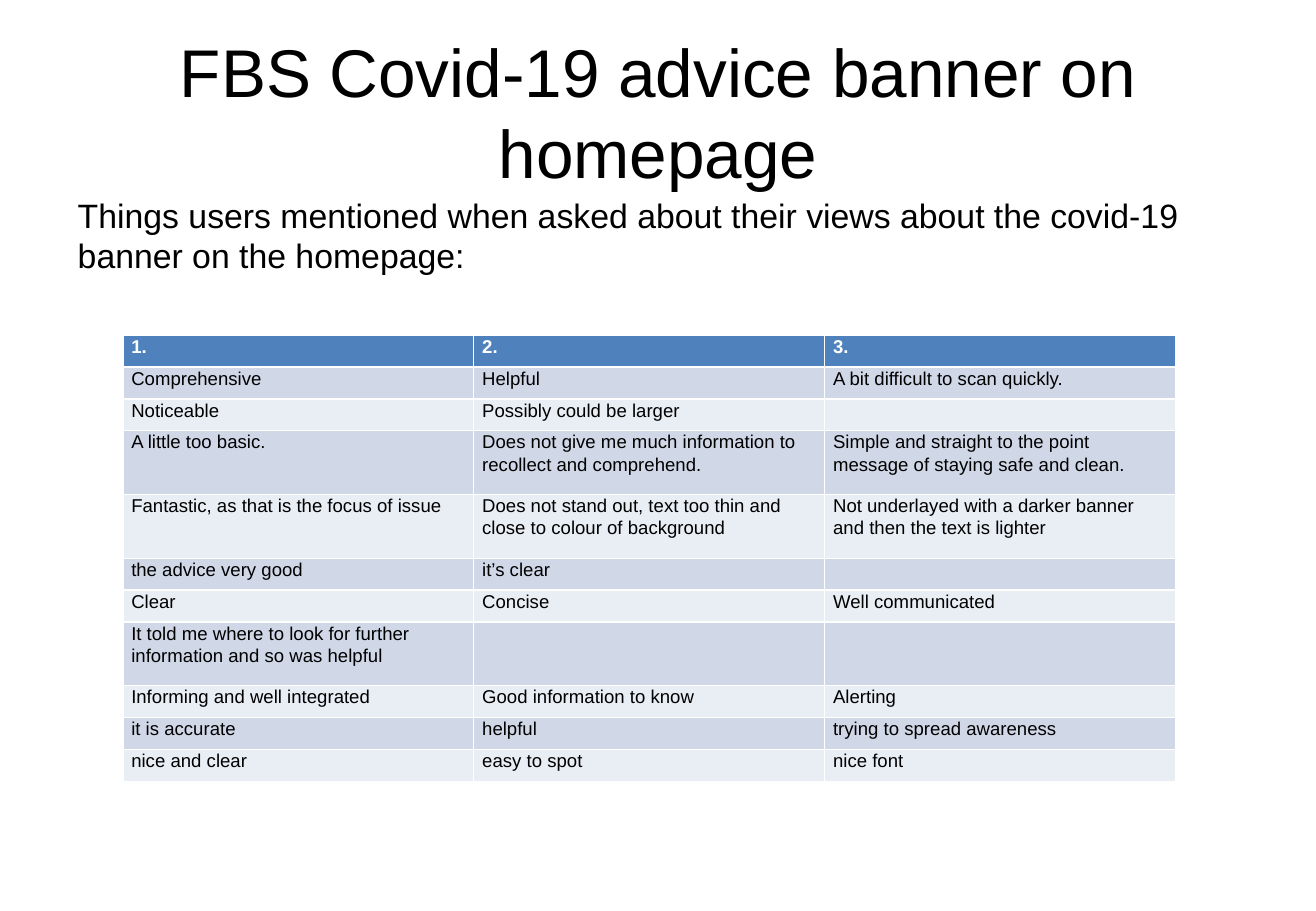
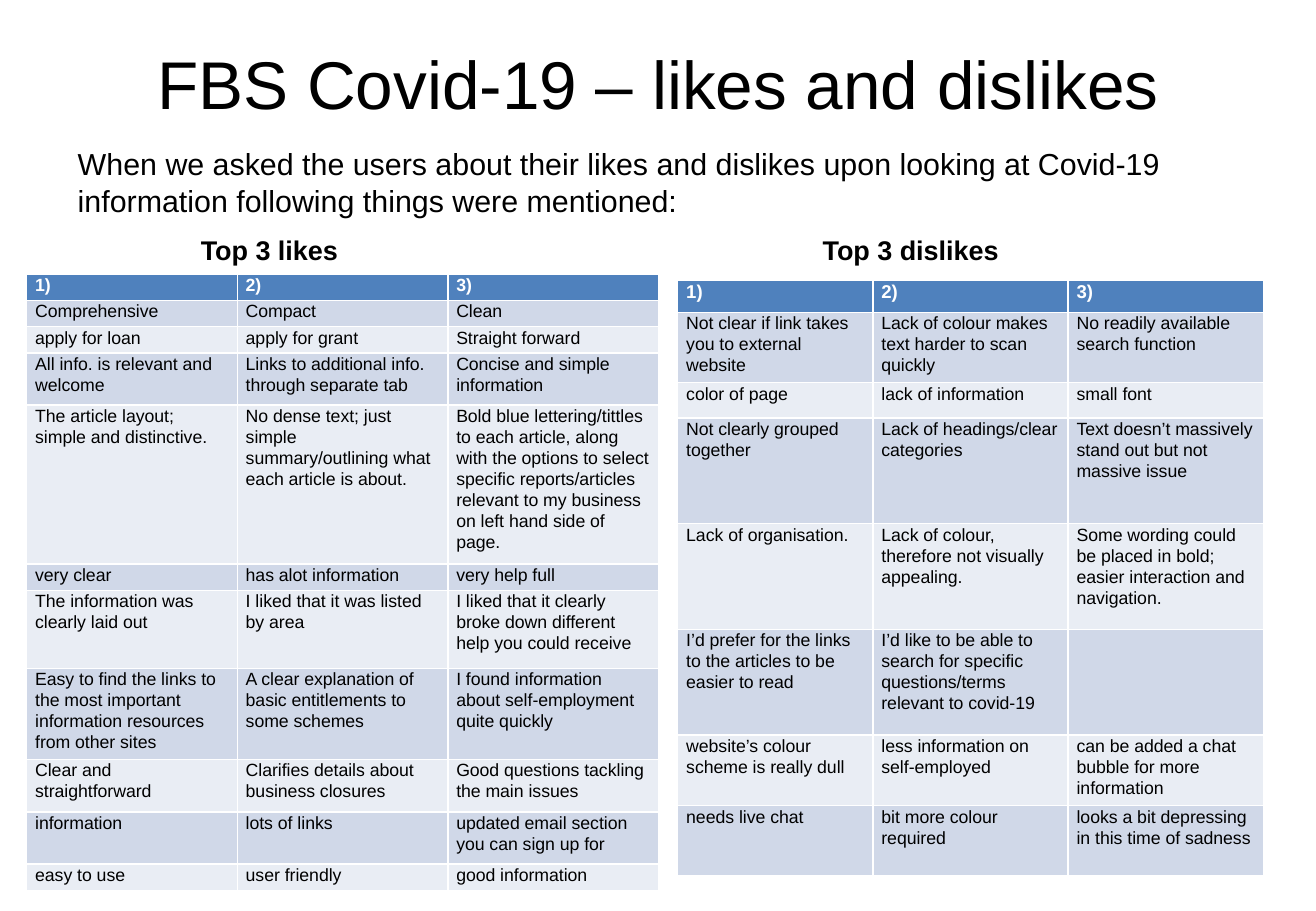
import pptx
import pptx.dml.color
import pptx.enum.text
import pptx.util
from dataclasses import dataclass
from lxml import etree


@dataclass(frozen=True)
class Theme:
    font: str = "Arial"
    ink: str = "000000"
    paper: str = "FFFFFF"
    head: str = "4F81BD"
    bands: tuple = ("D0D8E8", "E9EDF4")
    title: float = 40
    lead: float = 20
    sub: float = 18
    label: float = 16
    cell: float = 11
    small: float = 10.5


THEME = Theme()
WIDE = pptx.util.Inches(10.83)
HIGH = pptx.util.Inches(7.5)
LEFT, SPAN = 5, 90
NS = "{http://schemas.openxmlformats.org/drawingml/2006/main}"

VIEWS = [
    ("1.", "2.", "3."),
    ("Comprehensive", "Helpful", "A bit difficult to scan quickly."),
    ("Noticeable", "Possibly could be larger", ""),
    ("A little too basic.",
     "Does not give me much information to recollect and comprehend.",
     "Simple and straight to the point message of staying safe and clean."),
    ("Fantastic, as that is the focus of issue",
     "Does not stand out, text too thin and close to colour of background",
     "Not underlayed with a darker banner and then the text is lighter"),
    ("the advice very good", "it’s clear", ""),
    ("Clear", "Concise", "Well communicated"),
    ("It told me where to look for further information and so was helpful", "", ""),
    ("Informing and well integrated", "Good information to know", "Alerting"),
    ("it is accurate", "helpful", "trying to spread awareness"),
    ("nice and clear", "easy to spot", "nice font"),
]

LIKES = [
    ("1)", "2)", "3)"),
    ("Comprehensive", "Compact", "Clean"),
    ("apply for loan", "apply for grant", "Straight forward"),
    ("All info. is relevant and welcome",
     "Links to additional info. through separate tab",
     "Concise and simple information"),
    ("The article layout; simple and distinctive.",
     "No dense text; just simple summary/outlining what each article is about.",
     "Bold blue lettering/tittles to each article, along with the options to select "
     "specific reports/articles relevant to my business on left hand side of page."),
    ("very clear", "has alot information", "very help full"),
    ("The information was clearly laid out",
     "I liked that it was listed by area",
     "I liked that it clearly broke down different help you could receive"),
    ("Easy to find the links to the most important information resources from other sites",
     "A clear explanation of basic entitlements to some schemes",
     "I found information about self-employment quite quickly"),
    ("Clear and straightforward",
     "Clarifies details about business closures",
     "Good questions tackling the main issues"),
    ("information", "lots of links", "updated email section you can sign up for"),
    ("easy to use", "user friendly", "good information"),
]

DISLIKES = [
    ("1)", "2)", "3)"),
    ("Not clear if link takes you to external website",
     "Lack of colour makes text harder to scan quickly",
     "No readily available search function"),
    ("color of page", "lack of information", "small font"),
    ("Not clearly grouped together",
     "Lack of headings/clear categories",
     "Text doesn’t massively stand out but not massive issue"),
    ("Lack of organisation.",
     "Lack of colour, therefore not visually appealing.",
     "Some wording could be placed in bold; easier interaction and navigation."),
    ("I’d prefer for the links to the articles to be easier to read",
     "I’d like to be able to search for specific questions/terms relevant to covid-19",
     ""),
    ("website’s colour scheme is really dull",
     "less information on self-employed",
     "can be added a chat bubble for more information"),
    ("needs live chat", "bit more colour required",
     "looks a bit depressing in this time of sadness"),
]


def across(share):
    return round(WIDE * share / 100)


def down(share):
    return round(HIGH * share / 100)


def tint(code):
    return pptx.dml.color.RGBColor.from_string(code)


def write(frame, text, size, color=THEME.ink, bold=False, align=None,
          line=None, before=None, stops=(), more=False):
    para = frame.add_paragraph() if more else frame.paragraphs[0]
    para.alignment = align
    if line:
        para.line_spacing = line
    if before:
        para.space_before = pptx.util.Pt(before)
    if stops:
        tabs = etree.SubElement(para._p.get_or_add_pPr(), NS + "tabLst")
        for stop in stops:
            etree.SubElement(tabs, NS + "tab", pos=str(across(stop)), algn="l")
    if not text:
        etree.SubElement(para._p, NS + "endParaRPr", sz=str(round(size * 100)))
        return
    run = para.add_run()
    run.text = text
    run.font.name = THEME.font
    run.font.size = pptx.util.Pt(size)
    run.font.bold = bold
    run.font.color.rgb = tint(color)


def start(deck, text, top):
    slide = deck.slides.add_slide(deck.slide_layouts[5])
    title = slide.shapes.title
    title.left, title.top = across(LEFT), down(top)
    title.width, title.height = across(SPAN), down(16.67)
    frame = title.text_frame
    frame.word_wrap = True
    frame.auto_size = pptx.enum.text.MSO_AUTO_SIZE.NONE
    frame.vertical_anchor = pptx.enum.text.MSO_ANCHOR.TOP
    write(frame, text, THEME.title, align=pptx.enum.text.PP_ALIGN.CENTER)
    return slide


def intro(slide, text, top, size):
    box = slide.shapes.add_textbox(across(LEFT), down(top), across(SPAN), down(14))
    frame = box.text_frame
    frame.word_wrap = True
    write(frame, text, size)
    return frame


def grid(slide, rows, left, top, width, unit, spans, size=THEME.small, head=THEME.cell):
    count = len(rows[0])
    table = slide.shapes.add_table(
        len(rows), count, across(left), down(top),
        across(width), down(unit * sum(spans))).table
    for col in table.columns:
        col.width = across(width / count)
    for i, (row, span) in enumerate(zip(rows, spans)):
        table.rows[i].height = down(unit * span)
        first = i == 0
        for j, text in enumerate(row):
            cell = table.cell(i, j)
            cell.margin_left = cell.margin_right = pptx.util.Inches(0.07)
            cell.margin_top = cell.margin_bottom = 0
            cell.fill.solid()
            cell.fill.fore_color.rgb = tint(THEME.head if first else THEME.bands[(i - 1) % 2])
            write(cell.text_frame, text, head if first else size, bold=first,
                  color=THEME.paper if first else THEME.ink, line=1.07)


def main():
    deck = pptx.Presentation()
    deck.slide_width, deck.slide_height = WIDE, HIGH

    slide = start(deck, "FBS Covid-19 advice banner on homepage", 2.67)
    intro(slide, "Things users mentioned when asked about their views about "
          "the covid-19 banner on the homepage:", 20.67, THEME.lead)
    grid(slide, VIEWS, 9.33, 36.8, 80, 3.5,
         (1, 1, 1, 2, 2, 1, 1, 2, 1, 1, 1), size=THEME.cell)

    slide = start(deck, "FBS Covid-19 – likes and dislikes", 4)
    frame = intro(slide, "When we asked the users about their likes and dislikes upon "
                  "looking at Covid-19 information following things were mentioned:",
                  15.33, THEME.sub)
    write(frame, "\tTop 3 likes\tTop 3 dislikes", THEME.label, bold=True,
          before=9, stops=(9.35, 56.6), more=True)
    grid(slide, LIKES, 2.03, 30.13, 48, 2.87,
         (1, 1, 1, 2, 6, 1, 3, 3, 2, 2, 1), head=THEME.small)
    grid(slide, DISLIKES, 51.5, 30.8, 44.5, 3.87, (0.9, 2, 1, 3, 3, 3, 2, 2))

    deck.save("out.pptx")


if __name__ == "__main__":
    main()
